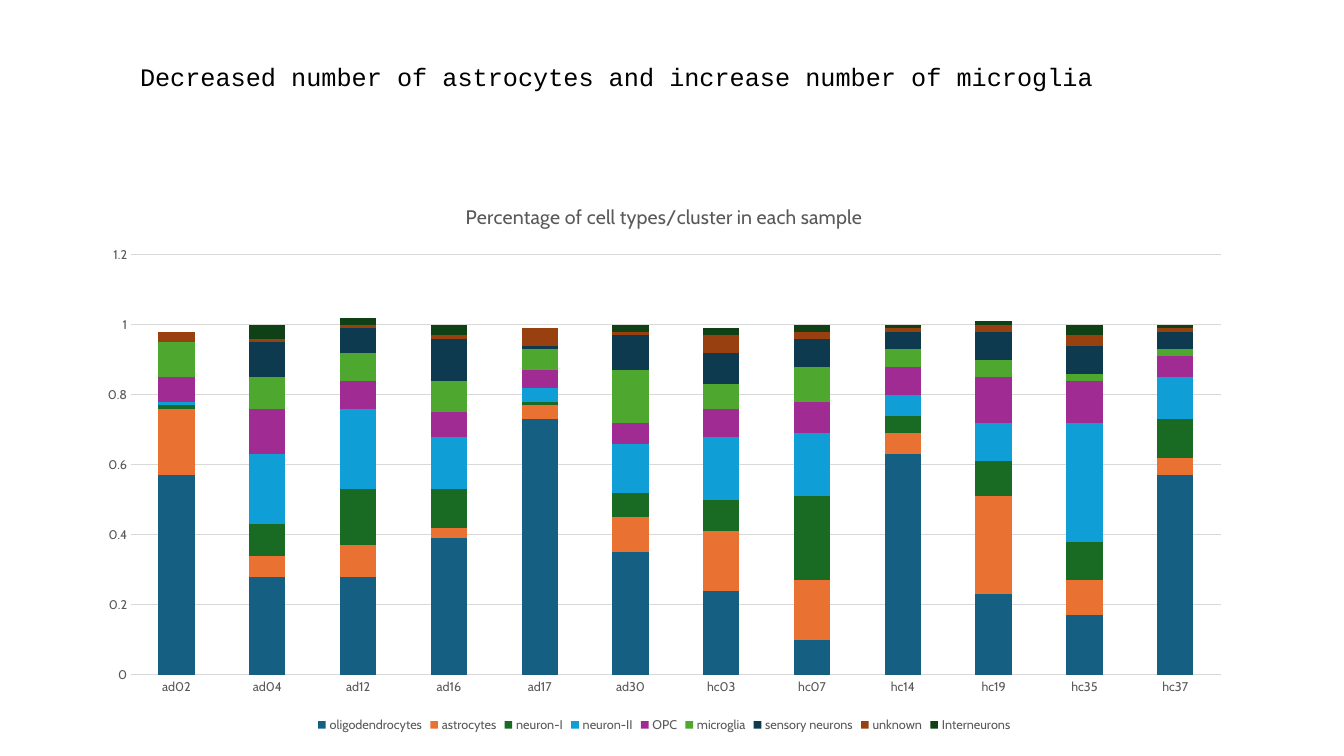
from pptx import Presentation
from pptx.chart.data import CategoryChartData
from pptx.dml.color import RGBColor
from pptx.enum.chart import XL_CHART_TYPE as ChartType, XL_LEGEND_POSITION as LegendPosition, XL_TICK_MARK as TickMark
from pptx.enum.text import MSO_ANCHOR, MSO_AUTO_SIZE, PP_ALIGN
from pptx.util import Pt

WHITE = RGBColor(0xFF, 0xFF, 0xFF)
BLACK = RGBColor(0x00, 0x00, 0x00)
GREY = RGBColor(0x59, 0x59, 0x59)
LIGHT_GREY = RGBColor(0xD9, 0xD9, 0xD9)
BLUE = RGBColor(0x15, 0x60, 0x82)
ORANGE = RGBColor(0xE9, 0x71, 0x32)
GREEN = RGBColor(0x19, 0x6B, 0x24)
SKY = RGBColor(0x0F, 0x9E, 0xD5)
PURPLE = RGBColor(0xA0, 0x2B, 0x93)
LIME = RGBColor(0x4E, 0xA7, 0x2E)
NAVY = RGBColor(0x0D, 0x3A, 0x4E)
BROWN = RGBColor(0x99, 0x40, 0x10)
DARK_GREEN = RGBColor(0x0F, 0x40, 0x16)

SAMPLES = ["ad02", "ad04", "ad12", "ad16", "ad17", "ad30",
           "hc03", "hc07", "hc14", "hc19", "hc35", "hc37"]
CELL_TYPES = [
    ("oligodendrocytes", BLUE, [0.57, 0.28, 0.28, 0.39, 0.73, 0.35, 0.24, 0.1, 0.63, 0.23, 0.17, 0.57]),
    ("astrocytes", ORANGE, [0.19, 0.06, 0.09, 0.03, 0.04, 0.1, 0.17, 0.17, 0.06, 0.28, 0.1, 0.05]),
    ("neuron-I", GREEN, [0.01, 0.09, 0.16, 0.11, 0.01, 0.07, 0.09, 0.24, 0.05, 0.1, 0.11, 0.11]),
    ("neuron-II", SKY, [0.01, 0.2, 0.23, 0.15, 0.04, 0.14, 0.18, 0.18, 0.06, 0.11, 0.34, 0.12]),
    ("OPC", PURPLE, [0.07, 0.13, 0.08, 0.07, 0.05, 0.06, 0.08, 0.09, 0.08, 0.13, 0.12, 0.06]),
    ("microglia", LIME, [0.1, 0.09, 0.08, 0.09, 0.06, 0.15, 0.07, 0.1, 0.05, 0.05, 0.02, 0.02]),
    ("sensory neurons", NAVY, [0, 0.1, 0.07, 0.12, 0.01, 0.1, 0.09, 0.08, 0.05, 0.08, 0.08, 0.05]),
    ("unknown", BROWN, [0.03, 0.01, 0.01, 0.01, 0.05, 0.01, 0.05, 0.02, 0.01, 0.02, 0.03, 0.01]),
    ("Interneurons", DARK_GREEN, [0, 0.04, 0.02, 0.03, 0, 0.02, 0.02, 0.02, 0.01, 0.01, 0.03, 0.01]),
]


def style_font(font, name, size, color):
    font.name = name
    font.size = Pt(size)
    font.bold = False
    font.color.rgb = color


prs = Presentation()
prs.slide_width, prs.slide_height = Pt(960), Pt(540)
slide = prs.slides.add_slide(prs.slide_layouts[5])

# Headline
headline = slide.shapes.title
headline.left, headline.top, headline.width, headline.height = Pt(100), Pt(44), Pt(789), Pt(21.6)
headline.fill.solid()
headline.fill.fore_color.rgb = WHITE
frame = headline.text_frame
frame.margin_left = frame.margin_top = frame.margin_right = frame.margin_bottom = 0
frame.vertical_anchor = MSO_ANCHOR.MIDDLE
frame.auto_size = MSO_AUTO_SIZE.SHAPE_TO_FIT_TEXT
frame.word_wrap = True
frame.paragraphs[0].alignment = PP_ALIGN.LEFT
headline_run = frame.paragraphs[0].add_run()
headline_run.text = "Decreased number of astrocytes and increase number of microglia"
style_font(headline_run.font, "Courier New", 18, BLACK)

# Stacked cell type shares per sample
shares = CategoryChartData(number_format="General")
shares.categories = SAMPLES
for cell_type, _, values in CELL_TYPES:
    shares.add_series(cell_type, values)
chart = slide.shapes.add_chart(ChartType.COLUMN_STACKED, Pt(60.5), Pt(131), Pt(828), Pt(395.3), shares).chart
style_font(chart.font, "Cabin", 10, BLACK)

chart.has_title = True
chart_title = chart.chart_title
chart_title.include_in_layout = False
title_run = chart_title.text_frame.paragraphs[0].add_run()
title_run.text = "Percentage of cell types/cluster in each sample"
style_font(title_run.font, "Cabin", 14, GREY)

chart.has_legend = True
chart.legend.position = LegendPosition.BOTTOM
chart.legend.include_in_layout = False
style_font(chart.legend.font, "Cabin", 9, GREY)

columns = chart.plots[0]
columns.gap_width = 150
columns.overlap = 100
for series, (_, color, _) in zip(columns.series, CELL_TYPES):
    series.format.fill.solid()
    series.format.fill.fore_color.rgb = color

sample_axis, share_axis = chart.category_axis, chart.value_axis
for axis in (sample_axis, share_axis):
    axis.major_tick_mark = axis.minor_tick_mark = TickMark.NONE
    style_font(axis.tick_labels.font, "Cabin", 9, GREY)
share_axis.minimum_scale = 0
share_axis.maximum_scale = 1.2
share_axis.major_unit = 0.2
share_axis.format.line.fill.background()
for line in (sample_axis.format.line, share_axis.major_gridlines.format.line):
    line.color.rgb = LIGHT_GREY
    line.width = Pt(0.75)

prs.save("out.pptx")
